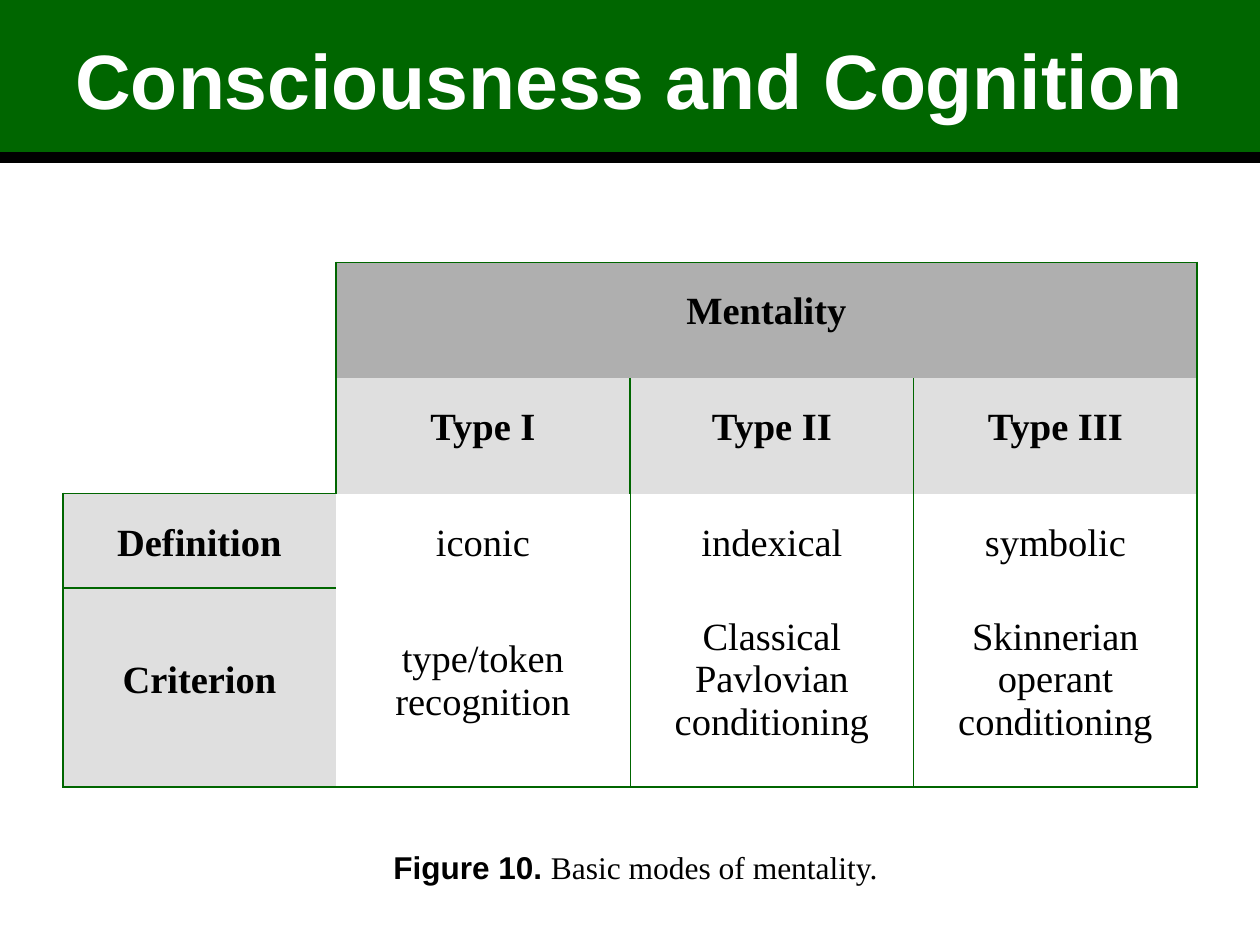
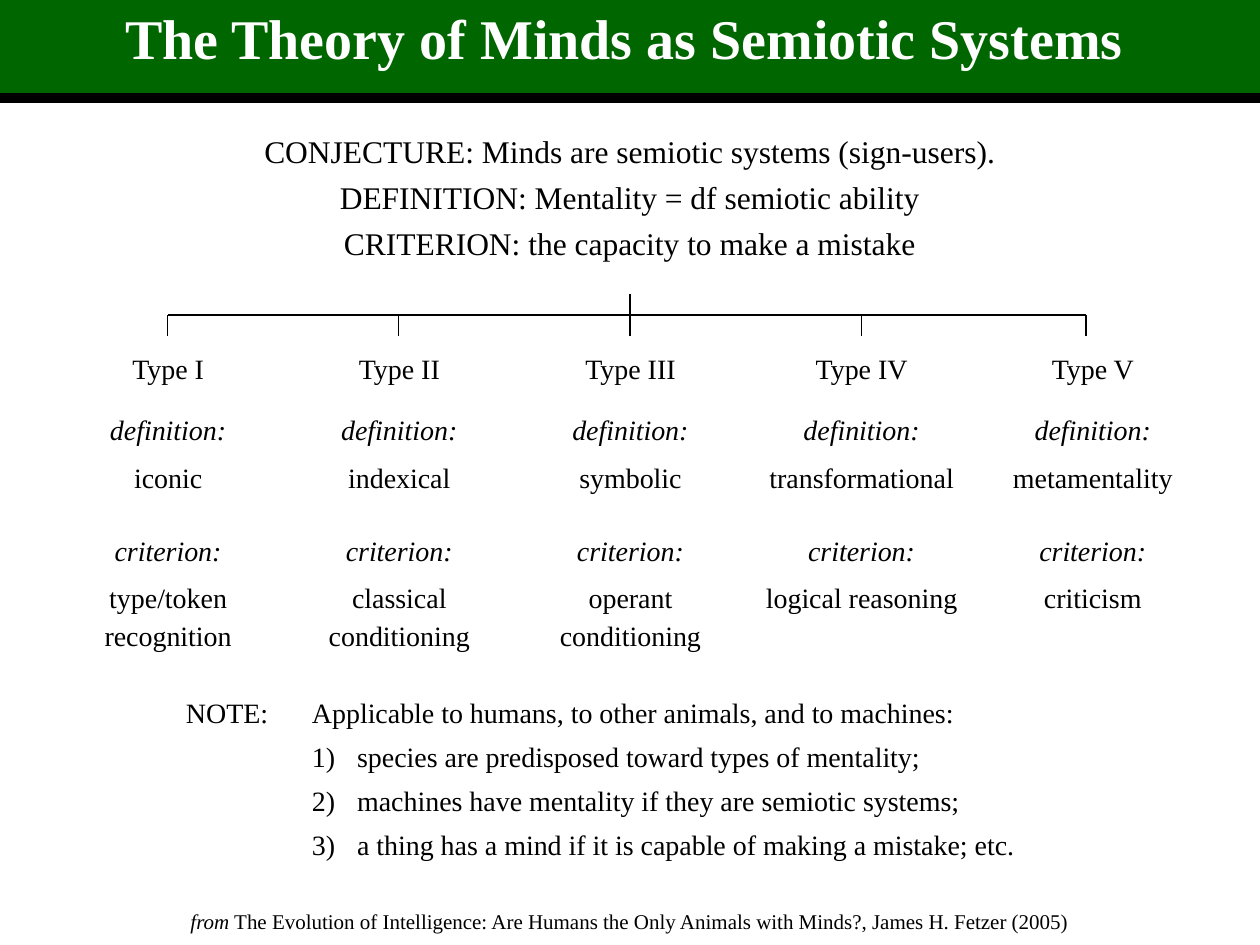
from lxml import etree
from pptx import Presentation
from pptx.dml.color import RGBColor
from pptx.enum.shapes import MSO_CONNECTOR
from pptx.enum.text import MSO_ANCHOR, MSO_AUTO_SIZE, PP_ALIGN
from pptx.oxml.ns import qn
from pptx.util import Cm, Pt

GREEN = RGBColor(0x00, 0x66, 0x00)
BLACK = RGBColor(0x00, 0x00, 0x00)
WHITE = RGBColor(0xFF, 0xFF, 0xFF)
MID = RGBColor(0xAF, 0xAF, 0xAF)
PALE = RGBColor(0xDF, 0xDF, 0xDF)

SANS = "Arial"
SERIF = "Times New Roman"
CENTER = PP_ALIGN.CENTER
LEFT = PP_ALIGN.LEFT
MIDDLE = MSO_ANCHOR.MIDDLE
FIT = MSO_AUTO_SIZE.SHAPE_TO_FIT_TEXT
FIXED = MSO_AUTO_SIZE.NONE
STRAIGHT = MSO_CONNECTOR.STRAIGHT

WIDTH, HEIGHT = 25.4, 19.05
PLAIN_STYLE = "{2D5ABB26-0587-4C30-8999-92F81FD0307C}"
THICK, THIN = 1.08, 0.45


def set_font(font, size, name=SERIF, color=BLACK, bold=False, italic=False):
    font.size = Pt(size)
    font.name = name
    font.color.rgb = color
    font.bold = bold
    font.italic = italic


def add_line(slide, x1, y1, x2, y2, width=0.75):
    line = slide.shapes.add_connector(STRAIGHT, Cm(x1), Cm(y1), Cm(x2), Cm(y2))
    line.line.color.rgb = BLACK
    line.line.width = Pt(width)
    etree.SubElement(line._element.spPr, qn("a:effectLst"))


def add_slide(prs, title, box, rule, size, name, inset=0.25):
    """Start a slide with a green title band and a black rule under it."""
    slide = prs.slides.add_slide(prs.slide_layouts[5])
    band = slide.shapes.title
    band.left, band.top, band.width, band.height = map(Cm, box)
    band.fill.solid()
    band.fill.fore_color.rgb = GREEN
    frame = band.text_frame
    frame.text = title
    frame.auto_size = FIXED
    frame.vertical_anchor = MIDDLE
    frame.margin_left = Cm(inset)
    para = frame.paragraphs[0]
    para.alignment = CENTER
    set_font(para.font, size, name, WHITE, bold=True)
    add_line(slide, 0, rule, WIDTH, rule, 6)
    return slide


def fill_frame(frame, lines, size, gap=0, align=CENTER, **style):
    """Write one paragraph per line, with a gap between them."""
    frame.text = "\n".join(lines)
    for i, para in enumerate(frame.paragraphs):
        para.alignment = align
        para.space_before = Pt(gap if i else 0)
        set_font(para.font, size, **style)


def add_text(slide, box, lines, size, gap=0, align=CENTER):
    frame = slide.shapes.add_textbox(*map(Cm, box)).text_frame
    frame.word_wrap = True
    frame.auto_size = FIT
    fill_frame(frame, lines, size, gap, align)
    return frame


def add_credit(slide, box, lead, rest, size, **style):
    """Add a centred line whose first words have their own style."""
    para = add_text(slide, box, [lead], size).paragraphs[0]
    set_font(para.runs[0].font, size, **style)
    para.add_run().text = rest


def indent(para, left, first=0, number=False):
    props = para._p.get_or_add_pPr()
    props.set("marL", str(Cm(left)))
    props.set("indent", str(Cm(first)))
    if number:
        bullet = etree.Element(qn("a:buAutoNum"), type="arabicParenR")
        props.insert_element_before(bullet, "a:tabLst", "a:defRPr", "a:extLst")


def add_table(slide, x, y, cols, rows):
    """Add a table with no style, sized by its columns and rows."""
    frame = slide.shapes.add_table(len(rows), len(cols), Cm(x), Cm(y),
                                   Cm(sum(cols)), Cm(sum(rows)))
    table = frame.table
    table.first_row = table.horz_banding = False
    table._tbl.tblPr.find(qn("a:tableStyleId")).text = PLAIN_STYLE
    for col, width in zip(table.columns, cols):
        col.width = Cm(width)
    for row, height in zip(table.rows, rows):
        row.height = Cm(height)
    return table


def set_edges(cell, edges):
    """Draw green cell borders; edges pairs L, R, T, B with widths."""
    props = cell._tc.get_or_add_tcPr()
    for side, width in edges:
        if width:
            line = etree.SubElement(props, qn("a:ln" + side), w=str(Pt(width)))
            solid = etree.SubElement(line, qn("a:solidFill"))
            etree.SubElement(solid, qn("a:srgbClr"), val=str(GREEN))


def mode_edges(r, c):
    """Thick outline around the stepped grid, thin rules between types."""
    start = 1 if r < 2 else 0
    left = THICK if c == start else THIN if c > 1 and r else 0
    right = THICK if c == 3 or (r, c) == (0, 1) else 0
    top = THICK if (r == 0 and c) or (r, c) == (2, 0) else 0
    return [("L", left), ("R", right), ("T", top), ("B", THICK if r == 3 else 0)]


def add_modes(slide):
    grid = [
        ["", "Mentality", "", ""],
        ["", "Type I", "Type II", "Type III"],
        ["Definition", "iconic", "indexical", "symbolic"],
        ["Criterion", "type/token recognition", "Classical Pavlovian conditioning",
         "Skinnerian operant conditioning"],
    ]
    drops = {(3, 0): 1.43, (3, 1): 1.02}  # deeper top margins
    table = add_table(slide, 1.27, 5.29, [5.5, 5.93, 5.72, 5.71],
                      [2.33, 2.33, 1.9, 4.02])
    table.cell(0, 1).merge(table.cell(0, 3))
    for r, row in enumerate(grid):
        for c, words in enumerate(row):
            cell = table.cell(r, c)
            head = r < 2 or c == 0
            set_edges(cell, mode_edges(r, c))
            if words:
                cell.margin_top = Cm(drops.get((r, c), 0.57))
                fill_frame(cell.text_frame, [words], 22, bold=head)
            if words and head:
                cell.fill.solid()
                cell.fill.fore_color.rgb = PALE if r else MID
            else:
                cell.fill.background()


def add_tree(slide):
    """Branch lines leading to the five types."""
    bar, foot, last = 6.35, 6.78, 21.89
    stems = [3.38 + 4.66 * i for i in range(4)] + [last]
    add_line(slide, stems[0], bar, last, bar)
    for i, x in enumerate(stems):
        add_line(slide, x, 5.92 if i == 2 else bar, x, foot)


def add_types(slide):
    grid = [
        ["Type I", "Type II", "Type III", "Type IV", "Type V"],
        ["definition:"] * 5,
        ["iconic", "indexical", "symbolic", "transformational", "metamentality"],
        ["criterion:"] * 5,
        ["type/token\nrecognition", "classical\nconditioning",
         "operant\nconditioning", "logical reasoning", "criticism"],
    ]
    table = add_table(slide, 1.06, 7.01, [4.66] * 5, [1.24, 0.97, 1.47, 0.94, 2.51])
    for r, row in enumerate(grid):
        for c, words in enumerate(row):
            cell = table.cell(r, c)
            fill_frame(cell.text_frame, words.split("\n"), 16, 4, italic=r in (1, 3))
            cell.fill.background()


def add_note(slide):
    lines = [
        "NOTE:\tApplicable to humans, to other animals, and to machines:",
        "species are predisposed toward types of mentality;",
        "machines have mentality if they are semiotic systems;",
        "a thing has a mind if it is capable of making a mistake; etc.",
    ]
    frame = add_text(slide, (0, 13.9, WIDTH, 3.6), lines, 16, 6, LEFT)
    lead, *items = frame.paragraphs
    indent(lead, 3.5)
    for item in items:
        indent(item, 6.95, -0.91, number=True)


def main():
    prs = Presentation()
    prs.slide_width, prs.slide_height = Cm(WIDTH), Cm(HEIGHT)

    # Basic modes of mentality
    slide = add_slide(prs, "Consciousness and Cognition", (0, 0, WIDTH, 3.18),
                      3.18, 44, SANS)
    add_modes(slide)
    add_credit(slide, (4.24, 16.97, 17.15, 1.02), "Figure 10. ",
               "Basic modes of mentality.", 18, name=SANS, bold=True)

    # Minds as semiotic systems
    slide = add_slide(prs, "The Theory of Minds as Semiotic Systems",
                      (-0.43, -0.43, 25.83, 2.34), 1.98, 32, SERIF, inset=0.46)
    add_text(slide, (0, 2.54, WIDTH, 2.87), [
        "CONJECTURE: Minds are semiotic systems (sign-users).",
        "DEFINITION: Mentality = df semiotic ability",
        "CRITERION: the capacity to make a mistake",
    ], 18, 4.5)
    add_types(slide)
    add_tree(slide)
    add_note(slide)
    add_credit(slide, (0, 18.2, WIDTH, 0.76), "from",
               " The Evolution of Intelligence: Are Humans the Only Animals "
               "with Minds?, James H. Fetzer (2005)", 12, italic=True)

    prs.save("out.pptx")


if __name__ == "__main__":
    main()
